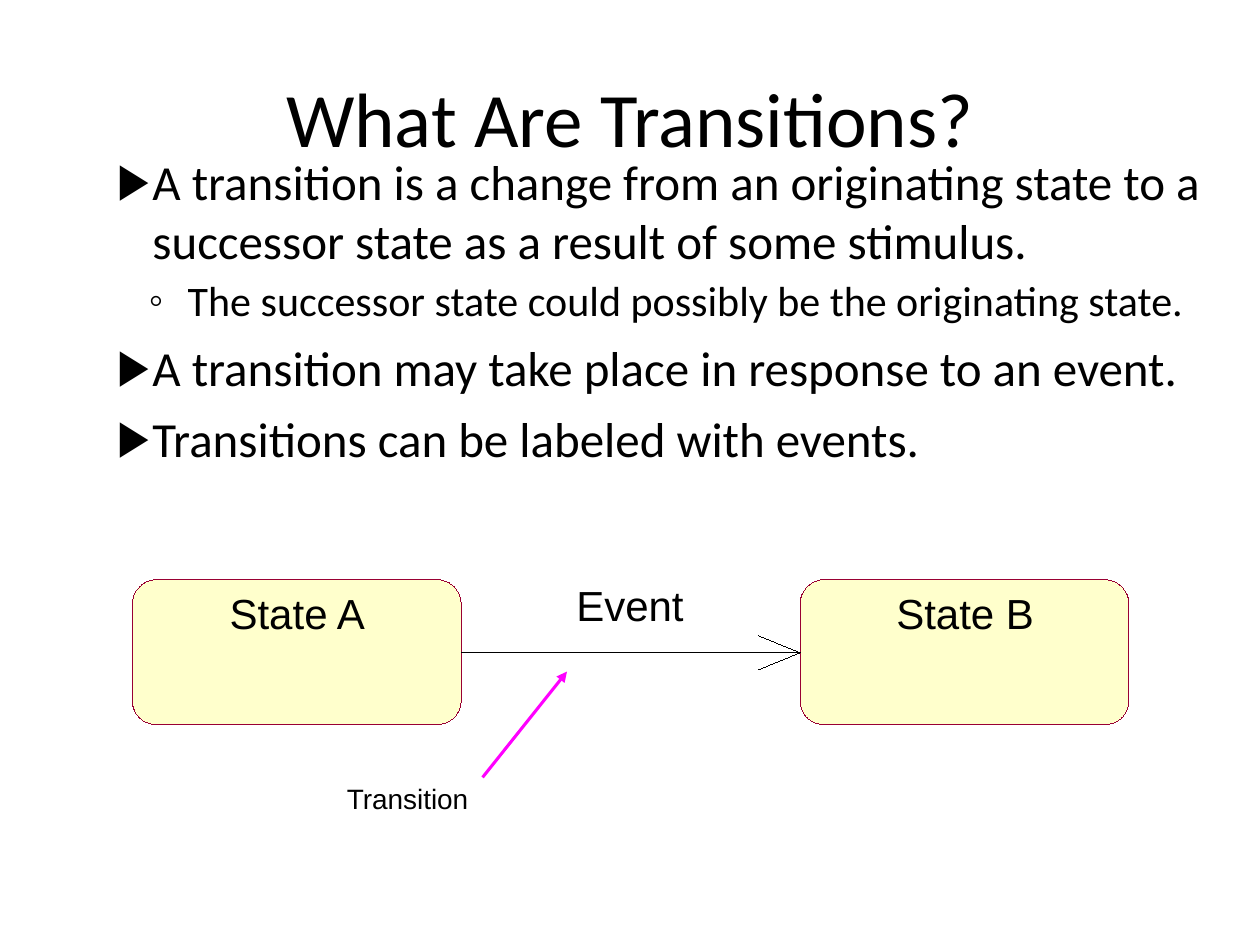
from dataclasses import dataclass

import pptx
import pptx.dml.color
import pptx.enum.shapes
import pptx.enum.text
import pptx.oxml
import pptx.oxml.ns
import pptx.util

Pt = pptx.util.Pt
Align = pptx.enum.text.PP_ALIGN
Anchor = pptx.enum.text.MSO_ANCHOR
Fit = pptx.enum.text.MSO_AUTO_SIZE


@dataclass(frozen=True)
class Theme:
    ink: str = "000000"
    fill: str = "FFFFCC"
    edge: str = "990033"
    mark: str = "FF00FF"
    head: str = "Calibri"
    label: str = "Arial"
    title: int = 44
    body: int = 28
    sub: int = 24
    state: int = 24
    note: int = 16


@dataclass(frozen=True)
class Level:
    size: int
    sign: str
    left: float
    hang: float
    gap: float


@dataclass(frozen=True)
class Label:
    text: str
    x: float
    y: float
    w: float
    h: float
    size: int


THEME = Theme()
COLS, ROWS = 100, 75
LEVELS = (Level(THEME.body, "▶", 4, 2.8, 7), Level(THEME.sub, "◦", 6.8, 3.1, 3.3))
POINTS = (
    (0, "A transition is a change from an originating state to a "
        "successor state as a result of some stimulus."),
    (1, "The successor state could possibly be the originating state."),
    (0, "A transition may take place in response to an event."),
    (0, "Transitions can be labeled with events."),
)

deck = pptx.Presentation()
deck.slide_width = pptx.util.Inches(10)
deck.slide_height = pptx.util.Inches(7.5)
slide = deck.slides.add_slide(deck.slide_layouts[1])
shapes = slide.shapes


def col(n: float) -> int:
    return round(deck.slide_width * n / COLS)


def row(n: float) -> int:
    return round(deck.slide_height * n / ROWS)


def area(x: float, y: float, w: float, h: float) -> tuple[int, int, int, int]:
    return col(x), row(y), col(w), row(h)


def place(shape, x: float, y: float, w: float, h: float) -> None:
    shape.left, shape.top, shape.width, shape.height = area(x, y, w, h)


def rgb(code: str):
    return pptx.dml.color.RGBColor.from_string(code)


def style(para, size: int, face: str) -> None:
    para.font.size = Pt(size)
    para.font.name = face
    para.font.color.rgb = rgb(THEME.ink)


def stroke(line, code: str, width: float = 0) -> None:
    line.color.rgb = rgb(code)
    # A zero width must be written out to give a hairline
    line._get_or_add_ln().set("w", str(Pt(width)))


def add(parent, tag: str, **attrs: str):
    node = pptx.oxml.parse_xml(f"<a:{tag} {pptx.oxml.ns.nsdecls('a')}/>")
    for key, value in attrs.items():
        node.set(key, value)
    parent.append(node)
    return node


def bullet(para, level: Level) -> None:
    props = para._p.get_or_add_pPr()
    props.set("marL", str(col(level.left)))
    props.set("indent", str(-col(level.hang)))
    add(add(props, "buClr"), "srgbClr", val=THEME.ink)
    add(props, "buFont", typeface=THEME.label)
    add(props, "buChar", char=level.sign)


def state(x: float, y: float, w: float, h: float) -> None:
    box = shapes.add_shape(
        pptx.enum.shapes.MSO_SHAPE.ROUNDED_RECTANGLE, *area(x, y, w, h))
    box.shadow.inherit = False
    box.fill.solid()
    box.fill.fore_color.rgb = rgb(THEME.fill)
    stroke(box.line, THEME.edge)


def write(label: Label) -> None:
    box = shapes.add_textbox(*area(label.x, label.y, label.w, label.h))
    frame = box.text_frame
    frame.word_wrap = False
    frame.auto_size = Fit.SHAPE_TO_FIT_TEXT
    frame.margin_left = frame.margin_right = 0
    frame.margin_top = frame.margin_bottom = 0
    frame.vertical_anchor = Anchor.MIDDLE
    para = frame.paragraphs[0]
    para.text = label.text
    para.alignment = Align.CENTER
    style(para, label.size, THEME.label)


def link(x1: float, y1: float, x2: float, y2: float,
         code: str, width: float = 0, head: bool = False) -> None:
    line = shapes.add_connector(
        pptx.enum.shapes.MSO_CONNECTOR.STRAIGHT,
        col(x1), row(y1), col(x2), row(y2))
    stroke(line.line, code, width)
    if head:
        add(line.line._get_or_add_ln(), "tailEnd", type="triangle")
    add(line._element.spPr, "effectLst")


# Title
title = shapes.title
place(title, 5, 3, 90, 12.5)
title.text_frame.text = "What Are Transitions?"
title.text_frame.auto_size = Fit.NONE
title.text_frame.vertical_anchor = Anchor.MIDDLE
title.text_frame.paragraphs[0].alignment = Align.CENTER
style(title.text_frame.paragraphs[0], THEME.title, THEME.head)

# Bulleted list
body = slide.placeholders[1]
place(body, 7.1, 11.5, 92.8, 32.7)
frame = body.text_frame
frame.auto_size = Fit.NONE
for i, (depth, text) in enumerate(POINTS):
    para = frame.paragraphs[0] if i == 0 else frame.add_paragraph()
    para.text = text
    para.level = depth
    para.space_before = Pt(LEVELS[depth].gap if i else 0)
    bullet(para, LEVELS[depth])
    style(para, LEVELS[depth].size, THEME.head)

# States, each with its name near the top
TOP, WIDE, HIGH = 46, 26.1, 11.5
LEFT, RIGHT = 10.5, 63.5
for name, x in (("State A", LEFT), ("State B", RIGHT)):
    state(x, TOP, WIDE, HIGH)
    write(Label(name, x + 7.4, TOP + 0.6, 11.4, 4, THEME.state))

# Transition arrow with an open head
MID, BACK, HALF = 51.8, 3.3, 1.35
path = shapes.build_freeform(col(LEFT + WIDE), row(MID))
path.add_line_segments(
    [(col(RIGHT), row(MID)), (col(RIGHT - BACK), row(MID + HALF))], close=False)
arrow = path.convert_to_shape()
arrow.shadow.inherit = False
arrow.fill.background()
stroke(arrow.line, THEME.ink)
link(RIGHT, MID, RIGHT - BACK, MID - HALF, THEME.ink)

# Event name and the pointer to the transition
write(Label("Event", 45.5, TOP, 9, 4, THEME.state))
write(Label("Transition", 26.3, 61.4, 12.1, 3.9, THEME.note))
link(38.3, 61.7, 45, 53.3, THEME.mark, 1.75, head=True)

deck.save("out.pptx")
